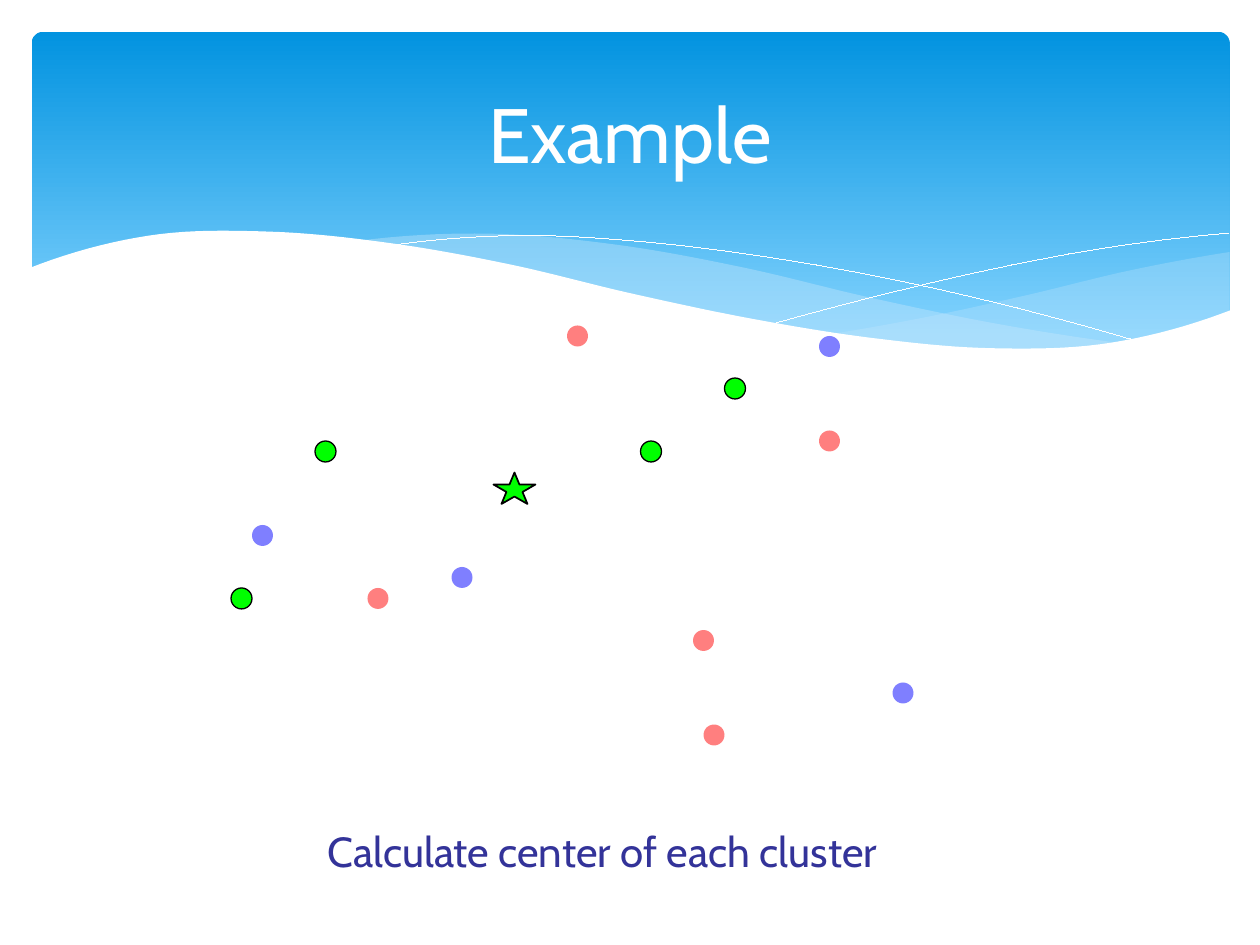
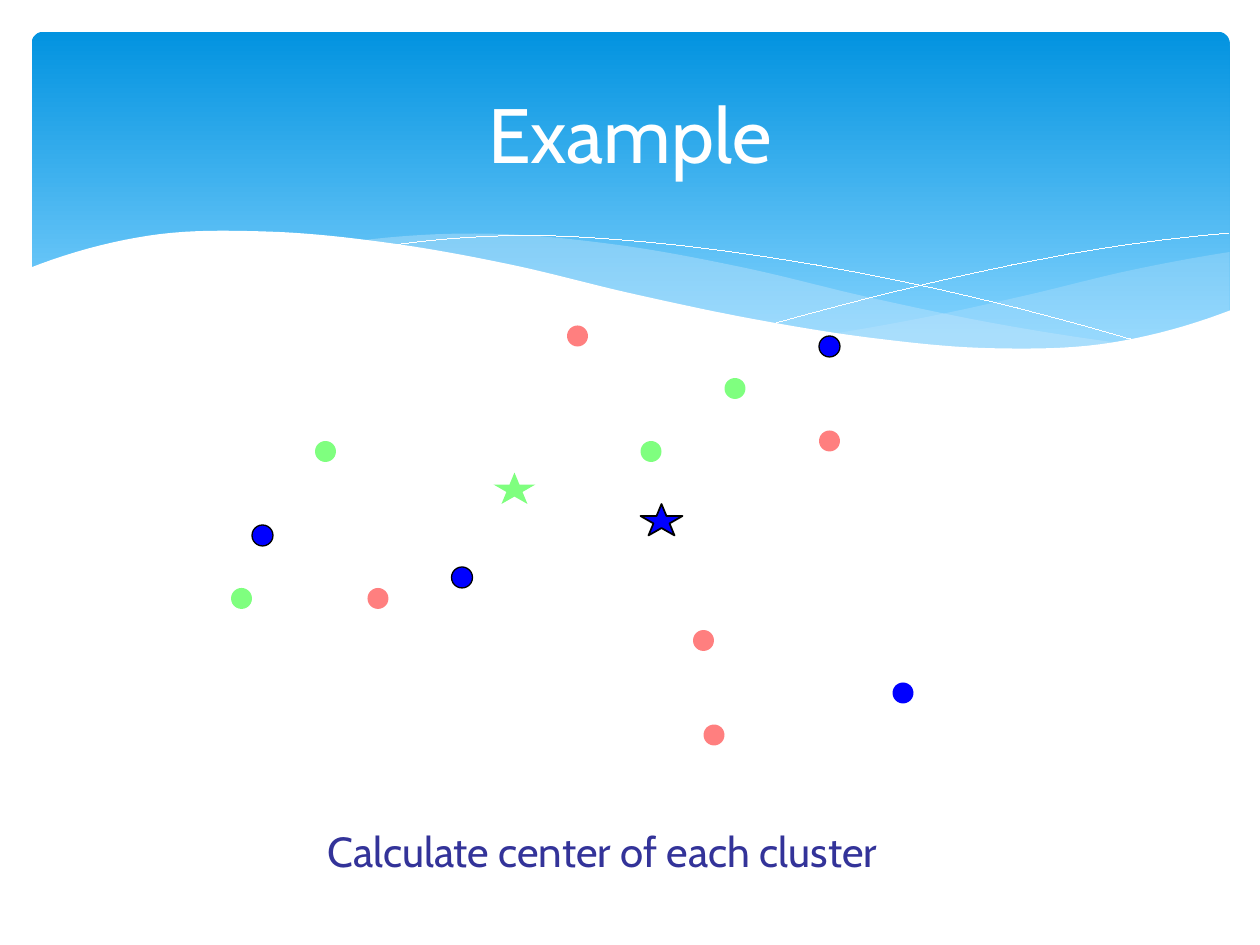
from itertools import pairwise

from lxml import etree
from pptx import Presentation, util as u
from pptx.dml.color import RGBColor
from pptx.enum import shapes, text

A = "http://schemas.openxmlformats.org/drawingml/2006/main"
FONT = "Cabin"
WHITE, BLACK, CAPTION = "FFFFFF", "000000", "333399"
SKY_TOP, SKY_BOTTOM, MIST = "0293E0", "83D3FE", "C6E7FC"
RED, GREEN, BLUE = "FF0000", "00FF00", "0000FF"

GRID = 2.54 / 12        # cm per step of the scatter grid
DOT_SIZE, STAR_SIZE = (2, 2), (4, 3)
CURVE_STEPS = 10        # short lines between two knots of a wave

# Left and top of each dot and star, in grid steps
CLUSTERS = {
    RED: [(35, 56), (67, 69), (66, 60), (78, 41), (54, 31)],
    GREEN: [(30, 42), (61, 42), (69, 36), (22, 56)],
    BLUE: [(24, 50), (78, 32), (85, 65), (43, 54)],
}
CENTERS = {GREEN: (47, 45), BLUE: (61, 48)}
UNLINED_DOT = (85, 65)


def rgb(code):
    return RGBColor.from_string(code)


def curve(left, right, heights):
    """Smooth curve, in cm, through heights spaced evenly from left to right.

    Each stretch is a cubic whose end slopes follow the neighbouring knots
    (Catmull-Rom); one knot is extrapolated at either end.
    """
    first = 3 * (heights[0] - heights[1]) + heights[2]
    last = 3 * (heights[-1] - heights[-2]) + heights[-3]
    knots = [first, *heights, last]
    slopes = [(after - before) / 2 for before, after in zip(knots, knots[2:])]
    gap = (right - left) / (len(heights) - 1)
    points = [(left, heights[0])]
    stretches = zip(pairwise(heights), pairwise(slopes))
    for index, ((start, end), (slope_in, slope_out)) in enumerate(stretches):
        for step in range(1, CURVE_STEPS + 1):
            t = step / CURVE_STEPS
            blend = t * t * (3 - 2 * t)
            y = (start + (end - start) * blend
                 + slope_in * t * (1 - t) ** 2
                 - slope_out * t * t * (1 - t))
            points.append((left + gap * (index + t), y))
    return points


class SlideBuilder:
    """Holds the deck, the current slide and the shared look."""

    def __init__(self):
        self.deck = Presentation()
        self.deck.slide_width, self.deck.slide_height = u.Cm(25.4), u.Cm(19.05)
        self.page = None

    def new_page(self, title):
        self.page = self.deck.slides.add_slide(self.deck.slide_layouts[6])
        self.band()
        self.waves()
        self.label(title, (1.27, 0.94, 22.86, 3.48), 44, WHITE,
                   text.PP_ALIGN.CENTER, text.MSO_ANCHOR.MIDDLE)

    def band(self):
        band = self.page.shapes.add_shape(
            shapes.MSO_SHAPE.ROUNDED_RECTANGLE,
            u.Cm(0.64), u.Cm(0.64), u.Cm(24.15), u.Cm(6.86))
        band.adjustments[0] = 0.034
        band.shadow.inherit = False
        band.line.fill.background()
        band.fill.gradient()
        band.fill.gradient_angle = 270
        for stop, color, place in zip(band.fill.gradient_stops,
                                      (SKY_TOP, SKY_BOTTOM), (0, 0.9)):
            stop.color.rgb = rgb(color)
            stop.position = place

    def waves(self):
        """Two mists and two thin lines, then the white wave that cuts the band."""
        self.mist(16.79, 24.79, opacity=29,
                  upper=[6.73, 6.37, 5.93, 5.45, 5.08],
                  lower=[6.73, 6.97, 7.05, 6.86, 6.27])
        self.mist(7.26, 22.68, opacity=40,
                  upper=[4.85, 4.71, 4.93, 5.39, 6.00, 6.53, 6.93],
                  lower=[4.85, 5.28, 5.88, 6.42, 6.87, 7.06, 6.93])
        falling = [4.95, 4.75, 4.87, 5.18, 5.63, 6.21, 6.91]
        rising = [6.53, 5.92, 5.39, 4.97, 4.70]
        self.hairline(curve(7.85, 23.04, falling))
        self.hairline(curve(15.57, 24.77, rising))

        left, right, bottom = 0.58, 24.82, 8.36
        crest = curve(left, right, [5.41, 4.75, 4.67, 4.90, 5.33, 5.91,
                                    6.42, 6.81, 7.02, 6.91, 6.25])
        wave = self.outline([*crest, (right, bottom), (left, bottom)], True)
        self.paint(wave, WHITE)

    def mist(self, left, right, opacity, upper, lower):
        """Translucent area between two curves."""
        there = curve(left, right, upper)
        back = reversed(curve(left, right, lower))
        self.paint(self.outline([*there, *back], True), MIST, opacity)

    def hairline(self, points):
        line = self.outline(points, False)
        line.shadow.inherit = False
        line.fill.background()
        line.line.color.rgb = rgb(WHITE)
        line.line.width = u.Pt(0.01)

    def outline(self, points, close):
        start, *rest = [(u.Cm(x), u.Cm(y)) for x, y in points]
        builder = self.page.shapes.build_freeform(*start)
        builder.add_line_segments(rest, close=close)
        return builder.convert_to_shape()

    def paint(self, shape, color, opacity=100, outline=None):
        """Solid fill in percent opacity; outline is None or the width in points."""
        shape.shadow.inherit = False
        shape.fill.solid()
        shape.fill.fore_color.rgb = rgb(color)
        if opacity < 100:
            tint = shape.element.spPr.find(f".//{{{A}}}srgbClr")
            etree.SubElement(tint, f"{{{A}}}alpha", val=str(opacity * 1000))
        if outline is None:
            shape.line.fill.background()
        else:
            shape.line.color.rgb = rgb(BLACK)
            shape.line.width = u.Pt(outline)

    def marker(self, kind, place, size, color, strong, outline):
        """Draw a dot or star on the scatter grid, faded unless strong."""
        mark = self.page.shapes.add_shape(
            kind, *(u.Cm(GRID * steps) for steps in (*place, *size)))
        self.paint(mark, color, 100 if strong else 50, outline)

    def scatter(self, active, centers):
        """Show all clusters with the active one strong, and the centers found so far."""
        for color, dots in CLUSTERS.items():
            strong = color == active
            for place in dots:
                lined = strong and place != UNLINED_DOT
                self.marker(shapes.MSO_SHAPE.OVAL, place, DOT_SIZE, color,
                            strong, 0.75 if lined else None)
        for color in centers:
            strong = color == active
            self.marker(shapes.MSO_SHAPE.STAR_5_POINT, CENTERS[color], STAR_SIZE,
                        color, strong, 1 if strong else None)

    def label(self, words, frame, size, color, align=text.PP_ALIGN.LEFT,
              anchor=text.MSO_ANCHOR.TOP):
        box = self.page.shapes.add_textbox(*map(u.Cm, frame)).text_frame
        box.word_wrap = True
        box.vertical_anchor = anchor
        para = box.paragraphs[0]
        para.alignment = align
        span = para.add_run()
        span.text = words
        span.font.name, span.font.size = FONT, u.Pt(size)
        span.font.color.rgb = rgb(color)


def main():
    builder = SlideBuilder()
    found = []
    for active in CENTERS:
        found.append(active)
        builder.new_page("Example")
        builder.scatter(active, found)
        builder.label("Calculate center of each cluster",
                      (6.35, 16.51, 14.17, 1.27), 24, CAPTION)
    builder.deck.save("out.pptx")


if __name__ == "__main__":
    main()
